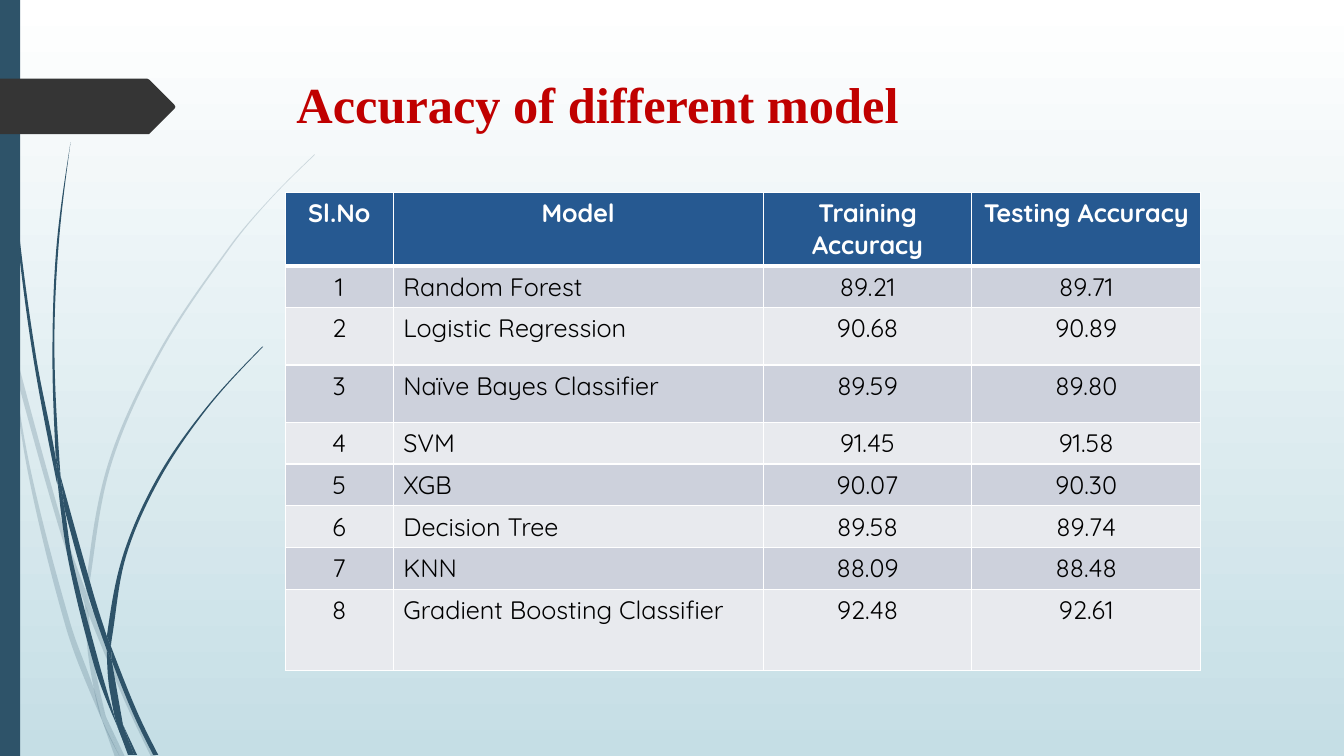
from math import dist

from lxml.etree import SubElement
from pptx import Presentation
from pptx.dml.color import RGBColor
from pptx.enum.shapes import MSO_SHAPE
from pptx.enum.text import MSO_ANCHOR, PP_ALIGN
from pptx.oxml.ns import qn
from pptx.util import Inches, Pt

THEME = {
    "sky_top": RGBColor.from_string("FFFFFF"),
    "sky_bottom": RGBColor.from_string("C5DEE5"),
    "grass": RGBColor.from_string("2E5369"),
    "flag": RGBColor.from_string("353535"),
    "header": RGBColor.from_string("265991"),
    "bands": [RGBColor.from_string("CDD1DC"), RGBColor.from_string("E8EAEE")],
    "title_color": RGBColor.from_string("C00000"),
    "header_text": RGBColor.from_string("FFFFFF"),
    "body_text": RGBColor.from_string("000000"),
    "title_font": {"name": "Times New Roman", "size": Pt(36), "bold": True},
    "header_font": {"name": "Quicksand", "size": Pt(18), "bold": True},
    "body_font": {"name": "Quicksand", "size": Pt(18), "bold": False},
}


def bezier_points(edge):
    """Return the edge with two control points between each pair of points."""
    curve = [edge[0]]
    for i, (b, c) in enumerate(zip(edge, edge[1:])):
        first = last = None
        if i > 0:
            a = edge[i - 1]
            pull = dist(b, c) / dist(a, c) / 3
            first = tuple(q + (r - p) * pull for p, q, r in zip(a, b, c))
        if i + 2 < len(edge):
            d = edge[i + 2]
            pull = dist(b, c) / dist(b, d) / 3
            last = tuple(r - (s - q) * pull for q, r, s in zip(b, c, d))
        # A free end bends evenly towards the other control point
        first = first or tuple((q + r) / 2 for q, r in zip(b, last or c))
        last = last or tuple((q + r) / 2 for q, r in zip(first, c))
        curve += [first, last, c]
    return curve


def draw_outline(points, color, opacity=100, curved=False):
    corners = [(Inches(x), Inches(y)) for x, y in points]
    builder = slide.shapes.build_freeform(*corners[0])
    builder.add_line_segments(corners[1:], close=True)
    outline = builder.convert_to_shape()
    outline.shadow.inherit = False
    outline.line.fill.background()
    outline.fill.solid()
    outline.fill.fore_color.rgb = color
    if curved:
        # Each run of three line steps becomes one Bezier step
        steps = list(outline._element.iter(qn("a:lnTo")))
        for first, second, end in zip(steps[::3], steps[1::3], steps[2::3]):
            first.tag = qn("a:cubicBezTo")
            for step in (second, end):
                first.append(step[0])
                step.getparent().remove(step)
    if opacity < 100:
        tint = outline._element.spPr.find(".//" + qn("a:srgbClr"))
        SubElement(tint, qn("a:alpha"), val=str(opacity * 1000))


prs = Presentation()
prs.slide_width, prs.slide_height = Inches(13.33), Inches(7.5)
slide = prs.slides.add_slide(prs.slide_layouts[5])

# Background
sky = slide.background.fill
sky.gradient()
sky.gradient_angle = 270
for stop, shade in zip(sky.gradient_stops, ("sky_top", "sky_bottom")):
    stop.color.rgb = THEME[shade]

# Grass blades: each has one edge running out and one running back
pale_blades = [
    ([(0, 2.82), (0.09, 3.22), (0.11, 3.5)], [(0.1, 3.44), (0, 2.99)]),
    ([(0.14, 3.45), (0.62, 5.2), (0.85, 5.86)],
     [(0.84, 5.99), (0.58, 5.22), (0.17, 3.76)]),
    ([(0.88, 5.96), (1.27, 6.92), (1.55, 7.51)],
     [(1.5, 7.51), (1.23, 6.94), (0.88, 6.1)]),
    ([(1.05, 7.11), (1.24, 7.51)], [(1.19, 7.51)]),
    ([(0.11, 3.5), (0.31, 4.69), (0.7, 6.19), (0.93, 6.83), (1.01, 7.14)],
     [(0.92, 6.93), (0.65, 6.21), (0.28, 4.7), (0.11, 3.5)]),
    ([(0.84, 5.99), (0.88, 6.1), (0.91, 6.46), (1.05, 7.11)],
     [(0.93, 6.83), (0.87, 6.46), (0.84, 5.99)]),
    ([(0.88, 5.96), (0.88, 5.84), (1.1, 4.62), (1.6, 3.49), (2.29, 2.45),
      (2.68, 1.98), (3.12, 1.54)],
     [(3.12, 1.53), (2.68, 1.97), (2.28, 2.44), (1.58, 3.48), (1.07, 4.61),
      (0.85, 5.84)]),
    ([(1.01, 7.14), (1.14, 7.51)], [(1.19, 7.51)]),
    ([(0.88, 6.1), (0.88, 5.96)], [(0.85, 5.86), (0.84, 5.99)]),
    ([(0.93, 6.83), (1.01, 7.14), (1.19, 7.51)], [(1.05, 7.11)]),
]
dark_blades = [
    ([(0.04, 0), (0.08, 1.09), (0.19, 2.32), (0.36, 3.55), (0.55, 4.53),
      (0.57, 4.81)],
     [(0.56, 4.77), (0.33, 3.55), (0.17, 2.33), (0.07, 1.1), (0.03, 0)]),
    ([(0.6, 4.72), (0.93, 5.9), (1.06, 6.31)],
     [(1.06, 6.45), (0.88, 5.92), (0.64, 5.05)]),
    ([(1.1, 6.41), (1.36, 7.06), (1.57, 7.49)],
     [(1.52, 7.49), (1.32, 7.08), (1.11, 6.56)]),
    ([(0.57, 4.77), (0.64, 5.05), (0.72, 5.56), (0.98, 6.57), (1.17, 7.22)],
     [(1.11, 7.08), (0.93, 6.59), (0.68, 5.57), (0.57, 4.77)]),
    ([(0.6, 4.72), (0.54, 3.49), (0.58, 2.45), (0.7, 1.41)],
     [(0.7, 1.41), (0.56, 2.45), (0.52, 3.49), (0.55, 4.49)]),
    ([(1.22, 7.19), (1.36, 7.49)], [(1.33, 7.49)]),
    ([(0.57, 4.77), (0.64, 5.05)], [(0.6, 4.72), (0.55, 4.49)]),
    ([(1.1, 6.41), (1.11, 6.33), (1.25, 5.52), (1.58, 4.76), (2.05, 4.06),
      (2.61, 3.44)],
     [(2.6, 3.44), (2.04, 4.05), (1.56, 4.74), (1.22, 5.51), (1.06, 6.31)]),
    ([(1.17, 7.22), (1.27, 7.49)], [(1.31, 7.49)]),
    ([(1.06, 6.45), (1.1, 6.91), (1.22, 7.19)], [(1.11, 6.56)]),
    ([(1.06, 6.31), (1.06, 6.45)], [(1.11, 6.56), (1.1, 6.41)]),
    ([(1.1, 6.91), (1.17, 7.22), (1.3, 7.49)], [(1.33, 7.49), (1.22, 7.19)]),
]
for blades, opacity in ((pale_blades, 20), (dark_blades, 100)):
    for out_edge, back_edge in blades:
        tip = bezier_points([out_edge[-1], back_edge[0]])[1:-1]
        draw_outline(bezier_points(out_edge) + tip + bezier_points(back_edge),
                     THEME["grass"], opacity, curved=True)

# Side band and flag
side_band = slide.shapes.add_shape(
    MSO_SHAPE.RECTANGLE, 0, 0, Inches(0.2), prs.slide_height)
side_band.shadow.inherit = False
side_band.line.fill.background()
side_band.fill.solid()
side_band.fill.fore_color.rgb = THEME["grass"]
draw_outline([(0, 0.78), (1.46, 0.78), (1.48, 0.79), (1.73, 1.04), (1.74, 1.06),
              (1.73, 1.08), (1.48, 1.33), (0, 1.33)], THEME["flag"])

# Title
heading = slide.shapes.title
heading.left, heading.top = Inches(2.84), Inches(0.68)
heading.width, heading.height = Inches(9.75), Inches(1.4)
heading.text_frame.vertical_anchor = MSO_ANCHOR.TOP
heading_line = heading.text_frame.paragraphs[0]
heading_line.alignment = PP_ALIGN.LEFT
heading_run = heading_line.add_run()
heading_run.text = "Accuracy of different model"
heading_run.font.color.rgb = THEME["title_color"]
for name, value in THEME["title_font"].items():
    setattr(heading_run.font, name, value)

# Accuracy table
records = [
    ("Sl.No", "Model", "Training Accuracy", "Testing Accuracy"),
    ("1", "Random Forest", "89.21", "89.71"),
    ("2", "Logistic Regression", "90.68", "90.89"),
    ("3", "Naïve Bayes Classifier", "89.59", "89.80"),
    ("4", "SVM", "91.45", "91.58"),
    ("5", "XGB", "90.07", "90.30"),
    ("6", "Decision Tree", "89.58", "89.74"),
    ("7", "KNN", "88.09", "88.48"),
    ("8", "Gradient Boosting Classifier", "92.48", "92.61"),
]
column_widths = [1.07, 3.67, 2.07, 2.27]
row_heights = [0.7, 0.41, 0.57, 0.57, 0.41, 0.41, 0.41, 0.41, 0.81]
accuracy = slide.shapes.add_table(
    len(records), len(column_widths), Inches(2.83), Inches(1.91),
    Inches(sum(column_widths)), Inches(sum(row_heights))).table
for column, width in zip(accuracy.columns, column_widths):
    column.width = Inches(width)
for row, height in zip(accuracy.rows, row_heights):
    row.height = Inches(height)

for r, record in enumerate(records):
    is_header = r == 0
    borders = {"a:lnL": 1, "a:lnR": 1, "a:lnT": 3 if r == 1 else 1,
               "a:lnB": 3 if is_header else 1}
    for c, entry in enumerate(record):
        cell = accuracy.cell(r, c)
        for side, weight in borders.items():
            border = SubElement(cell._tc.get_or_add_tcPr(), qn(side), w=str(Pt(weight)))
            SubElement(SubElement(border, qn("a:solidFill")), qn("a:srgbClr"),
                       val=str(THEME["header_text"]))
        cell.fill.solid()
        cell.fill.fore_color.rgb = THEME["header"] if is_header else THEME["bands"][(r - 1) % 2]
        line = cell.text_frame.paragraphs[0]
        line.alignment = PP_ALIGN.LEFT if c == 1 and not is_header else PP_ALIGN.CENTER
        run = line.add_run()
        run.text = entry
        run.font.color.rgb = THEME["header_text" if is_header else "body_text"]
        for name, value in THEME["header_font" if is_header else "body_font"].items():
            setattr(run.font, name, value)

prs.save("out.pptx")
